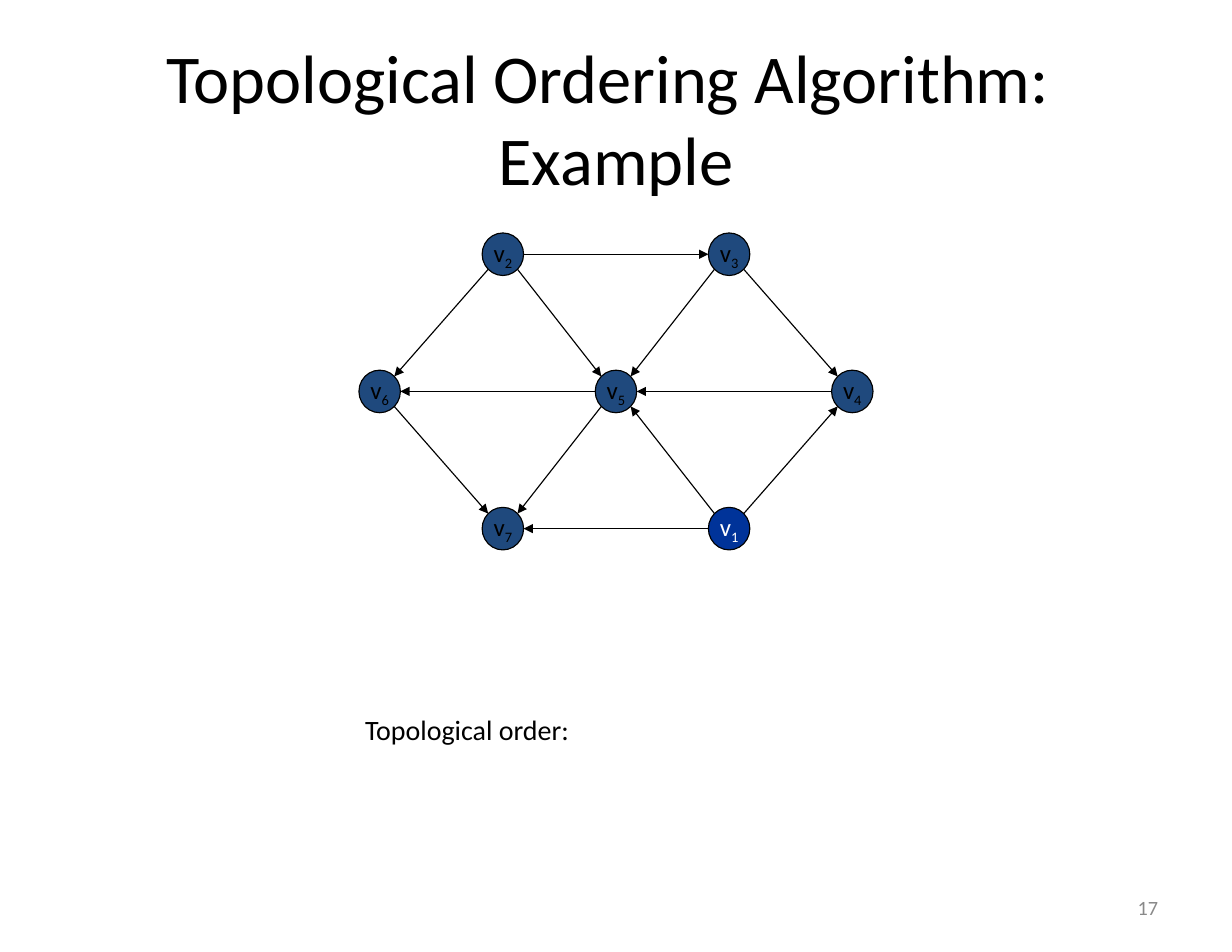
import math

import pptx
import pptx.dml.color
import pptx.enum.shapes
import pptx.enum.text
import pptx.oxml.ns
import pptx.util
from lxml import etree

W, H = 11, 8.5
FONT = "Calibri"
BLACK, WHITE, GREY = "000000", "FFFFFF", "898989"
NAVY, ROYAL = "1F497D", "003399"
ALIGN = pptx.enum.text.PP_ALIGN
ANCHOR = pptx.enum.text.MSO_ANCHOR

# Graph grid: columns mirrored about the slide's centre, rows evenly spaced
CENTRE, INNER, OUTER = W / 2, 1.01, 2.11
TOP, STEP = 2.27, 1.225
NODE_W, NODE_H = 0.37, 0.38
NODES = {  # number: (centre x, centre y)
    2: (CENTRE - INNER, TOP),
    3: (CENTRE + INNER, TOP),
    6: (CENTRE - OUTER, TOP + STEP),
    5: (CENTRE, TOP + STEP),
    4: (CENTRE + OUTER, TOP + STEP),
    7: (CENTRE - INNER, TOP + 2 * STEP),
    1: (CENTRE + INNER, TOP + 2 * STEP),
}
EDGES = [(2, 6), (2, 5), (2, 3), (3, 4), (4, 5), (1, 4),
         (5, 7), (1, 5), (1, 7), (6, 7), (5, 6), (3, 5)]


def inches(*values):
    return [pptx.util.Inches(v) for v in values]


def rgb(value):
    return pptx.dml.color.RGBColor.from_string(value)


def set_frame(sp, anchor, wrap):
    tf = sp.text_frame
    tf.word_wrap = wrap
    tf.vertical_anchor = anchor
    tf.margin_left, tf.margin_top, tf.margin_right, tf.margin_bottom = inches(
        0.11, 0.06, 0.11, 0.06)
    return tf.paragraphs[0]


def add_run(p, text, size, color):
    r = p.add_run()
    r.text = text
    r.font.name = FONT
    r.font.size = pptx.util.Pt(size)
    r.font.color.rgb = rgb(color)
    return r


def add_text(s, box, text, size, color, align, anchor=ANCHOR.MIDDLE, wrap=True):
    sp = s.shapes.add_textbox(*inches(*box))
    p = set_frame(sp, anchor, wrap)
    p.alignment = align
    add_run(p, text, size, color)


def add_node(s, number, fill, color):
    x, y = NODES[number]
    sp = s.shapes.add_shape(
        pptx.enum.shapes.MSO_SHAPE.OVAL,
        *inches(x - NODE_W / 2, y - NODE_H / 2, NODE_W, NODE_H))
    sp.shadow.inherit = False
    sp.fill.solid()
    sp.fill.fore_color.rgb = rgb(fill)
    sp.line.color.rgb = rgb(BLACK)
    sp.line.width = pptx.util.Pt(0.75)
    p = set_frame(sp, ANCHOR.MIDDLE, False)
    p.alignment = ALIGN.CENTER
    add_run(p, "v", 16, color)
    r = add_run(p, str(number), 16, color)
    r.font._element.set("baseline", "-25000")


def rim_point(node, other):
    """Point of the node's rim, in the one of eight directions facing other."""
    (x, y), (ox, oy) = NODES[node], NODES[other]
    dx = math.copysign(1, ox - x)
    dy = 0 if oy == y else math.copysign(1, oy - y)
    length = math.hypot(dx, dy)
    return x + NODE_W / 2 * dx / length, y + NODE_H / 2 * dy / length


def add_arrow(s, start, end):
    ln = s.shapes.add_connector(
        pptx.enum.shapes.MSO_CONNECTOR.STRAIGHT,
        *inches(*rim_point(start, end), *rim_point(end, start)))
    ln.line.color.rgb = rgb(BLACK)
    ln.line.width = pptx.util.Pt(0.75)
    qn = pptx.oxml.ns.qn
    etree.SubElement(ln.line._get_or_add_ln(), qn("a:tailEnd"), type="triangle")
    etree.SubElement(ln._element.spPr, qn("a:effectLst"))


def main():
    prs = pptx.Presentation()
    prs.slide_width, prs.slide_height = inches(W, H)
    s = prs.slides.add_slide(prs.slide_layouts[6])

    # Title, page number and label
    add_text(s, (0.05 * W, 0.04 * H, 0.9 * W, H / 6),
             "Topological Ordering Algorithm:  Example", 44, BLACK, ALIGN.CENTER)
    add_text(s, (7.88, 7.88, 2.57, 0.45), "17", 13, GREY, ALIGN.RIGHT)
    add_text(s, (3.15, 6.3, 2.19, 0.41), "Topological order:", 18, BLACK,
             ALIGN.LEFT, ANCHOR.TOP, False)

    # Graph
    for number in NODES:
        if number == 1:
            add_node(s, number, ROYAL, WHITE)
        else:
            add_node(s, number, NAVY, BLACK)
    for start, end in EDGES:
        add_arrow(s, start, end)

    prs.save("out.pptx")


if __name__ == "__main__":
    main()
